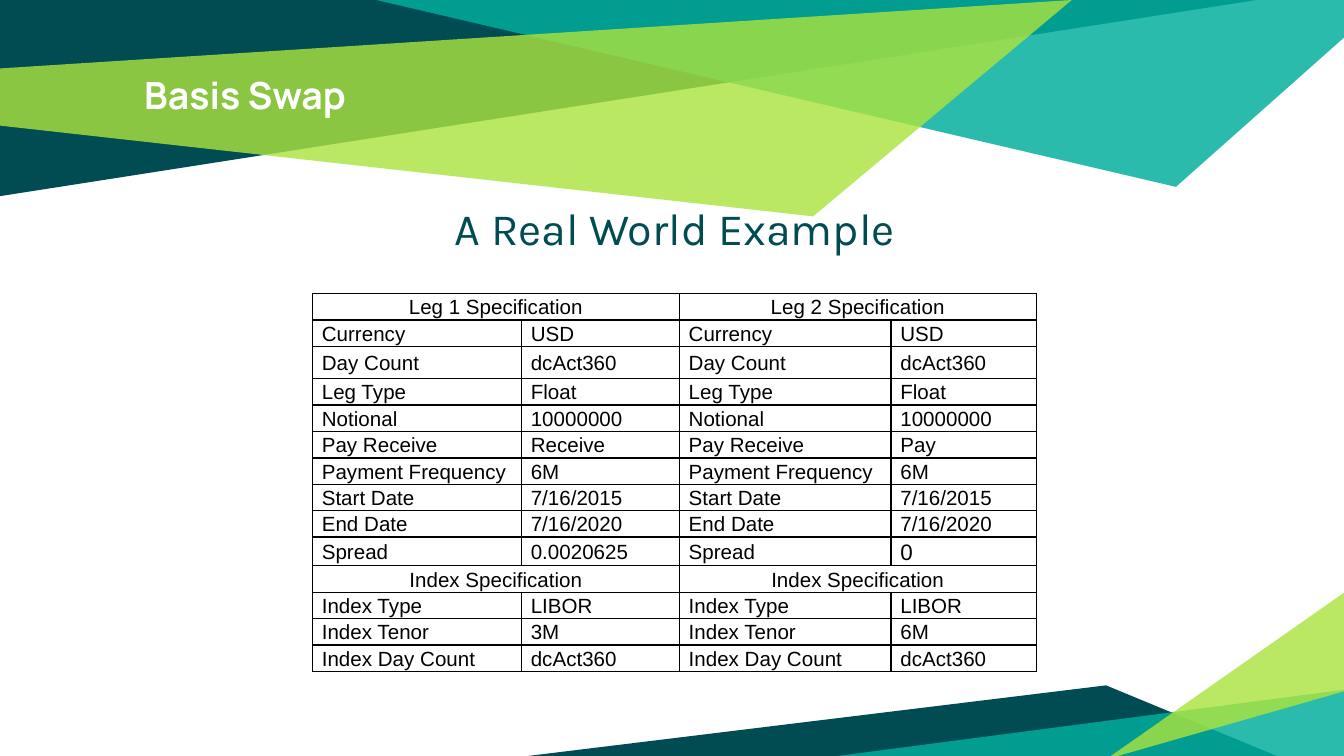
from dataclasses import dataclass

from lxml.etree import SubElement
from pptx import Presentation
from pptx.dml.color import RGBColor as RGB
from pptx.enum.text import MSO_ANCHOR as Anchor, PP_ALIGN as Align
from pptx.oxml import parse_xml
from pptx.oxml.ns import nsdecls, qn
from pptx.util import Pt

PX = 4572  # 200 px to the inch


@dataclass(frozen=True)
class Theme:
    dark: str = "004C52"
    teal: str = "00AE9D"
    lime: str = "ABE33F"
    white: str = "FFFFFF"
    black: str = "000000"
    title: int = 20
    head: int = 24
    cell: int = 11
    large: int = 12
    line: float = 0.75


T = Theme()

# Colour, opacity in percent, corner points
BANDS = [
    (T.dark, 100, [(0, 0), (0, 292), (1870, 0)]),
    (T.teal, 83, [(560, 0), (1750, 278), (2000, 56), (2000, 0)]),
    (T.lime, 81, [(-2, 102), (0, 187), (1210, 322), (1595, 0)]),
    (T.dark, 100, [(786, 1125), (1900, 1125), (1646, 1020)]),
    (T.teal, 83, [(2004, 1026), (2004, 1130), (1208, 1130)]),
    (T.lime, 81, [(2003, 1028), (2003, 880), (1646, 1130)]),
]

COLS = [311, 235, 315, 216]
ROW = 39
TALL = 48

# Two texts head the two legs; three are a label and its value in either leg
ROWS = [
    ("Leg 1 Specification", "Leg 2 Specification"),
    ("Currency", "USD", "USD"),
    ("Day Count", "dcAct360", "dcAct360"),
    ("Leg Type", "Float", "Float"),
    ("Notional", "10000000", "10000000"),
    ("Pay Receive", "Receive", "Pay"),
    ("Payment Frequency", "6M", "6M"),
    ("Start Date", "7/16/2015", "7/16/2015"),
    ("End Date", "7/16/2020", "7/16/2020"),
    ("Spread", "0.0020625", "0"),
    ("Index Specification", "Index Specification"),
    ("Index Type", "LIBOR", "LIBOR"),
    ("Index Tenor", "3M", "6M"),
    ("Index Day Count", "dcAct360", "dcAct360"),
]


def write(frame, text, size, font="Arial", color=T.black, bold=False,
          align=Align.LEFT, space=None, indent=0):
    para = frame.paragraphs[0]
    para.alignment = align
    if space:
        para.line_spacing = space
    if indent:
        para._p.get_or_add_pPr().set("marL", str(indent * PX))
    run = para.add_run()
    run.text = text
    run.font.size = Pt(size)
    run.font.name = font
    run.font.bold = bold
    run.font.color.rgb = RGB.from_string(color)


def add_text(slide, box, text, **form):
    frame = slide.shapes.add_textbox(*(n * PX for n in box)).text_frame
    frame.word_wrap = True
    frame.margin_left = frame.margin_right = 20 * PX
    frame.margin_top = frame.margin_bottom = 20 * PX
    write(frame, text, **form)


def add_band(slide, color, alpha, points):
    pen = slide.shapes.build_freeform(*points[0], scale=PX)
    pen.add_line_segments(points[1:], close=True)
    band = pen.convert_to_shape()
    band.shadow.inherit = False
    band.line.fill.background()
    band.fill.solid()
    band.fill.fore_color.rgb = RGB.from_string(color)
    if alpha < 100:
        tint = band.fill._xPr.find(".//" + qn("a:srgbClr"))
        SubElement(tint, qn("a:alpha")).set("val", str(alpha * 1000))


def set_edges(cell):
    props = cell._tc.get_or_add_tcPr()
    for side in ("lnL", "lnR", "lnT", "lnB"):
        props.append(parse_xml(
            f'<a:{side} {nsdecls("a")} w="{Pt(T.line)}"><a:solidFill>'
            f'<a:srgbClr val="{T.black}"/></a:solidFill></a:{side}>'))


def set_cell(cell, text, **form):
    cell.vertical_anchor = Anchor.MIDDLE
    write(cell.text_frame, text, space=1.07, **form)


def add_legs(slide, left, top):
    size = sum(COLS), ROW * len(ROWS)
    grid = slide.shapes.add_table(
        len(ROWS), len(COLS), *(n * PX for n in (left, top, *size))).table
    grid.first_row = grid.horz_banding = False
    for col, width in zip(grid.columns, COLS):
        col.width = width * PX
    for cell in grid.iter_cells():
        cell.margin_left = cell.margin_right = 14 * PX
        cell.margin_top = cell.margin_bottom = 0
        set_edges(cell)
        cell.fill.background()
    for r, texts in enumerate(ROWS):
        grid.rows[r].height = (TALL if texts[0] == "Day Count" else ROW) * PX
        if len(texts) == 2:
            for c, text in zip((0, 2), texts):
                grid.cell(r, c).merge(grid.cell(r, c + 1))
                set_cell(grid.cell(r, c), text, size=T.cell,
                         align=Align.CENTER)
        else:
            label, first, second = texts
            for c, text in enumerate((label, first, label, second)):
                set_cell(grid.cell(r, c), text,
                         size=T.large if text == "0" else T.cell)


def main():
    deck = Presentation()
    deck.slide_width, deck.slide_height = 2000 * PX, 1125 * PX
    slide = deck.slides.add_slide(deck.slide_layouts[6])
    for band in BANDS:
        add_band(slide, *band)
    add_text(slide, (195, 88, 1612, 128), "Basis Swap", size=T.title,
             font="Manrope", color=T.white, bold=True)
    add_text(slide, (151, 279, 1690, 818), "A Real World Example",
             size=T.head, font="Karla", color=T.dark, align=Align.CENTER,
             indent=16)
    add_legs(slide, 465, 437)
    deck.save("out.pptx")


if __name__ == "__main__":
    main()
